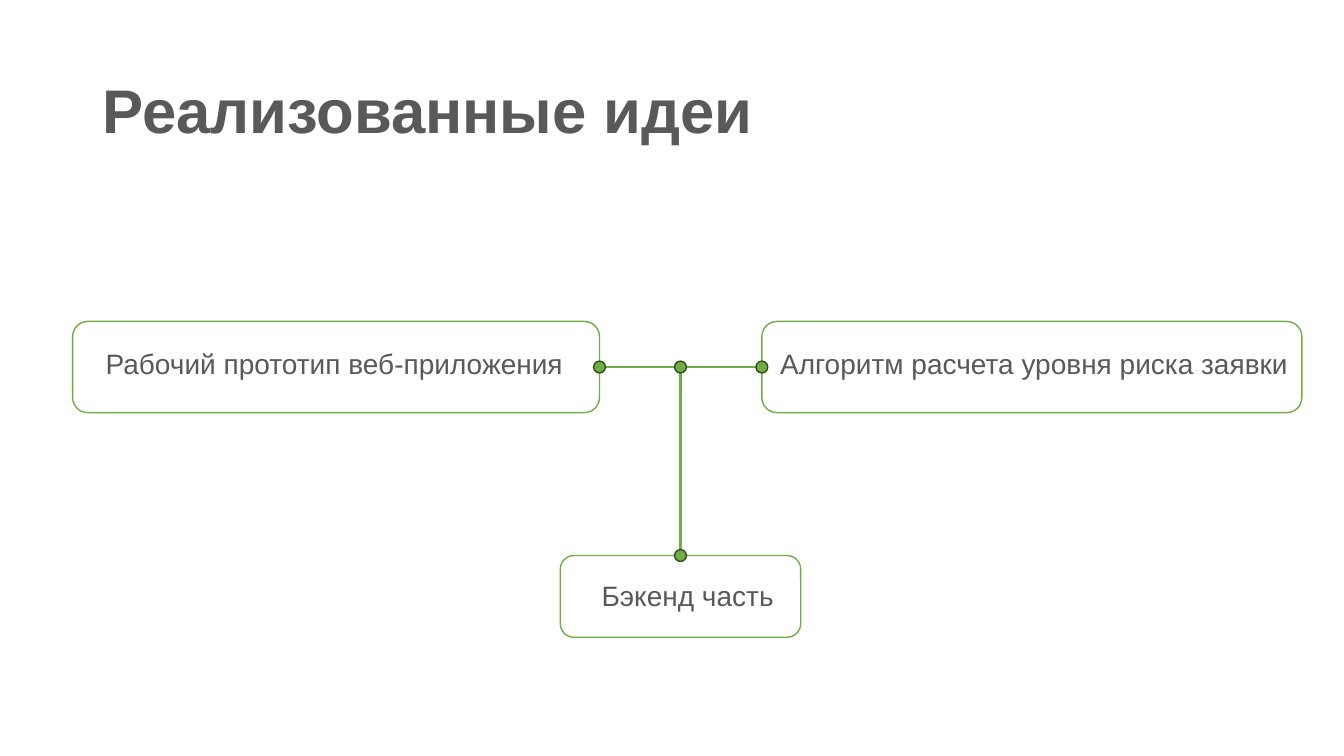
"""Build the slide of implemented ideas: three linked boxes under a title."""
from lxml import etree
from pptx import Presentation
from pptx.dml.color import RGBColor
from pptx.enum import shapes, text
from pptx.oxml.ns import qn
from pptx.util import Cm, Pt

COLORS = {"text": "595959", "green": "70AD47", "edge": "314C1F", "white": "FFFFFF"}
DOT = 0.3


def rgb(name):
    """Return a palette colour."""
    return RGBColor.from_string(COLORS[name])


def write(tf, content, size=20, bold=False, spacing=None, wrap=False):
    """Put one formatted paragraph in a text frame."""
    tf.word_wrap = wrap
    p = tf.paragraphs[0]
    p.alignment = text.PP_ALIGN.LEFT
    p.line_spacing = spacing
    r = p.add_run()
    r.text = content
    r.font.name, r.font.size, r.font.bold = "Arial", Pt(size), bold
    r.font.color.rgb = rgb("text")


def add_title(s, content):
    """Place and fill the title placeholder."""
    sp = s.shapes.title
    sp.left, sp.top, sp.width, sp.height = Cm(2.33), Cm(1.01), Cm(29.21), Cm(3.68)
    sp.text_frame.vertical_anchor = text.MSO_ANCHOR.MIDDLE
    write(sp.text_frame, content, size=44, bold=True, spacing=0.9, wrap=True)


def add_figure(s, kind, left, top, width, height, fill, line):
    """Draw a filled and outlined preset shape."""
    sp = s.shapes.add_shape(kind, Cm(left), Cm(top), Cm(width), Cm(height))
    sp.shadow.inherit = False
    sp.fill.solid()
    sp.fill.fore_color.rgb = rgb(fill)
    sp.line.color.rgb = rgb(line)
    sp.line.width = Pt(1)
    return sp


def add_box(s, left, top, width, height):
    """Draw a rounded idea box."""
    return add_figure(s, shapes.MSO_SHAPE.ROUNDED_RECTANGLE,
                      left, top, width, height, "white", "green")


def add_label(s, content, left, top, width):
    """Add a one-line label that fits its text."""
    sp = s.shapes.add_textbox(Cm(left), Cm(top), Cm(width), Cm(1.12))
    write(sp.text_frame, content)
    sp.text_frame.auto_size = text.MSO_AUTO_SIZE.SHAPE_TO_FIT_TEXT


def add_link(s, start, end):
    """Draw a green straight connector between two points."""
    c = s.shapes.add_connector(shapes.MSO_CONNECTOR.STRAIGHT,
                               *(Cm(v) for v in start + end))
    c.line.color.rgb = rgb("green")
    c.line.width = Pt(2)
    etree.SubElement(c._element.spPr, qn("a:effectLst"))
    return c


def add_dot(s, x, y):
    """Draw a node centred on a point."""
    add_figure(s, shapes.MSO_SHAPE.OVAL, x - DOT / 2, y - DOT / 2, DOT, DOT,
               "green", "edge")


def main():
    """Build and save the slide."""
    prs = Presentation()
    prs.slide_width, prs.slide_height = Cm(33.87), Cm(19.05)
    s = prs.slides.add_slide(prs.slide_layouts[5])

    backend = add_box(s, 14.12, 14, 6.06, 2.06)
    algorithm = add_box(s, 19.2, 8.1, 13.61, 2.3)
    prototype = add_box(s, 1.83, 8.1, 13.28, 2.3)

    add_title(s, "Реализованные идеи")
    add_label(s, "Рабочий прототип веб-приложения", 2.41, 8.61, 12.12)
    add_label(s, "Алгоритм расчета уровня риска заявки", 19.41, 8.61, 13.39)
    add_label(s, "Бэкенд часть", 14.91, 14.45, 4.88)

    left, right = (15.11, 9.25), (19.2, 9.25)
    junction, bottom = (17.15, 9.25), (17.15, 14)
    across = add_link(s, left, right)
    across.begin_connect(prototype, 3)
    across.end_connect(algorithm, 1)
    add_link(s, bottom, junction).begin_connect(backend, 0)
    for point in (junction, right, left, bottom):
        add_dot(s, *point)

    prs.save("out.pptx")


if __name__ == "__main__":
    main()
